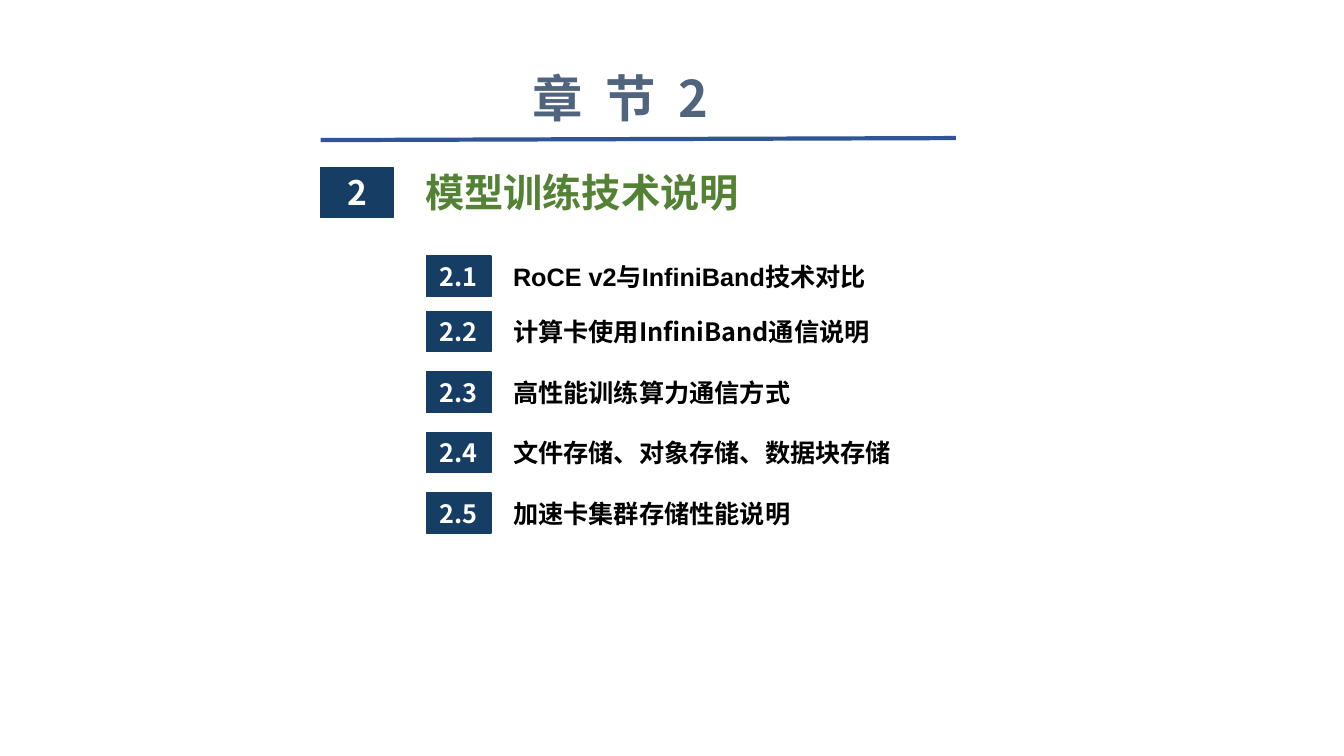
from lxml import etree
from pptx import Presentation
from pptx.dml.color import RGBColor
from pptx.enum.shapes import MSO_CONNECTOR, MSO_SHAPE
from pptx.enum.text import MSO_ANCHOR, PP_ALIGN
from pptx.oxml.ns import qn
from pptx.util import Inches, Pt

LINE, RECT = MSO_CONNECTOR.STRAIGHT, MSO_SHAPE.RECTANGLE
MID, TOP = MSO_ANCHOR.MIDDLE, MSO_ANCHOR.TOP
LEFT, CENTER = PP_ALIGN.LEFT, PP_ALIGN.CENTER

CJK, LATIN = "Noto Sans CJK SC", "Arial"
TITLE = "章 节 2"
HEAD = ("2", "模型训练技术说明")
TOPICS = [
    ("2.1", "RoCE v2与InfiniBand技术对比", LATIN),
    ("2.2", "计算卡使用InfiniBand通信说明", CJK),
    ("2.3", "高性能训练算力通信方式", LATIN),
    ("2.4", "文件存储、对象存储、数据块存储", CJK),
    ("2.5", "加速卡集群存储性能说明", CJK),
]
COLORS = {"navy": "163E64", "rule": "2F5597", "green": "548235",
          "title": "51647E", "white": "FFFFFF", "black": "000000"}

WIDE, HIGH = 13.33, 7.5
EDGE = 3.18                      # left edge of the rule and the main badge
BADGE_X, TOPIC_X = 4.23, 4.99    # the two topic columns
TEXT_W, ROW_H = 6.14, 0.4
FIRST, SECOND, PITCH = 2.54, 3.09, 0.6


def color(name):
    return RGBColor.from_string(COLORS[name])


def write(shape, text, size=18, font=CJK, tint="black", align=LEFT,
          anchor=MID, track=0):
    """Put one bold line in a shape; track is letter spacing in points."""
    frame = shape.text_frame
    frame.word_wrap = True
    frame.vertical_anchor = anchor
    para = frame.paragraphs[0]
    para.alignment = align
    run = para.add_run()
    run.text = text
    run.font.size, run.font.bold, run.font.name = Pt(size), True, font
    run.font.color.rgb = color(tint)
    props = run.font._element
    if track:
        props.set("spc", str(track * 100))
    east = etree.Element(qn("a:ea"), typeface=CJK)
    props.find(qn("a:latin")).addnext(east)


def label(slide, box, text, **form):
    write(slide.shapes.add_textbox(*map(Inches, box)), text, **form)


def badge(slide, box, text, size=18):
    shape = slide.shapes.add_shape(RECT, *map(Inches, box))
    shape.shadow.inherit = False
    shape.fill.solid()
    shape.fill.fore_color.rgb = color("navy")
    shape.line.color.rgb = color("navy")
    shape.line.width = Pt(1)
    write(shape, text, size=size, tint="white", align=CENTER)


def rule(slide, ends):
    line = slide.shapes.add_connector(LINE, *map(Inches, ends))
    line.line.color.rgb = color("rule")
    line.line.width = Pt(3)
    etree.SubElement(line._element.spPr, qn("a:effectLst"))


def main():
    deck = Presentation()
    deck.slide_width, deck.slide_height = Inches(WIDE), Inches(HIGH)
    slide = deck.slides.add_slide(deck.slide_layouts[6])

    rule(slide, (EDGE, 1.39, EDGE + 6.3, 1.37))
    label(slide, (-0.51, 0.62, WIDE, 0.57), TITLE, size=36, tint="title",
          align=CENTER, anchor=TOP, track=4)

    number, name = HEAD
    badge(slide, (EDGE, 1.66, 0.72, 0.5), number, size=24)
    label(slide, (4.12, 1.62, TEXT_W, 0.57), name, size=28, tint="green")

    for row, (number, name, font) in enumerate(TOPICS):
        top = SECOND + (row - 1) * PITCH if row else FIRST
        badge(slide, (BADGE_X, top, 0.64, ROW_H), number)
        label(slide, (TOPIC_X, top, TEXT_W, ROW_H), name, font=font)

    deck.save("out.pptx")


if __name__ == "__main__":
    main()
